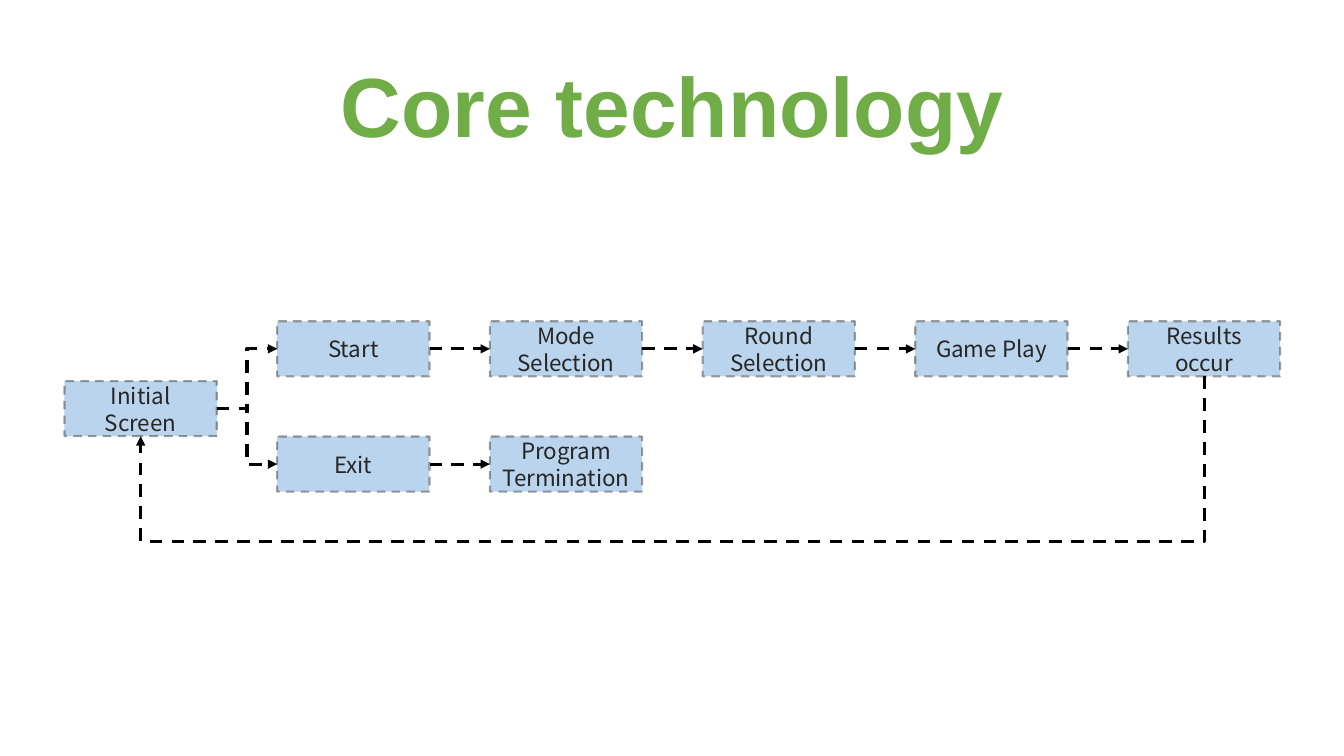
import pptx
import pptx.util
import pptx.dml.color
import pptx.enum.dml
import pptx.enum.shapes
import pptx.enum.text
import pptx.oxml.ns
import lxml.etree

Pt = pptx.util.Pt
TOP, LEFT, BOTTOM, RIGHT = range(4)
COLORS = {
    "title": "70AD47",
    "box": "9CC2E5",
    "border": "3F3F3F",
    "label": "262626",
    "arrow": "000000",
}
FIRST_LEFT, PITCH = 46.1, 151.92
BOX_WIDTH, BOX_HEIGHT = 108.8, 39.4
ROWS = {"start": 229.5, "initial": 272.2, "exit": 311.8}
RETURN_LEVEL = 386.8
STEPS = [
    ("Initial Screen", 0, "initial"),
    ("Start", 1, "start"),
    ("Exit", 1, "exit"),
    ("Program Termination", 2, "exit"),
    ("Mode Selection", 2, "start"),
    ("Round Selection", 3, "start"),
    ("Game Play", 4, "start"),
    ("Results occur", 5, "start"),
]
FLOWS = [
    ("Exit", "Program Termination"),
    ("Start", "Mode Selection"),
    ("Mode Selection", "Round Selection"),
    ("Round Selection", "Game Play"),
    ("Game Play", "Results occur"),
]


def apply(target, values):
    for name, value in values.items():
        setattr(target, name, value)


def add_child(parent, tag, **attributes):
    return lxml.etree.SubElement(parent, pptx.oxml.ns.qn(tag), attributes)


class FlowSlide:
    title_font = {"name": "Arial", "size": Pt(60), "bold": True}
    label_font = {"name": "Noto Sans CJK KR", "size": Pt(16)}
    dash = pptx.enum.dml.MSO_LINE.DASH
    center = pptx.enum.text.PP_ALIGN.CENTER
    middle = pptx.enum.text.MSO_ANCHOR.MIDDLE

    def __init__(self, slide):
        self.slide = slide

    def paint(self, color_format, key, opacity=None):
        color_format.rgb = pptx.dml.color.RGBColor.from_string(COLORS[key])
        if opacity:
            color = color_format._xFill.find(pptx.oxml.ns.qn("a:srgbClr"))
            add_child(color, "a:alpha", val=str(opacity * 1000))

    def set_wording(self, frame, wording, font, color):
        frame.text = wording
        paragraph = frame.paragraphs[0]
        paragraph.alignment = self.center
        apply(paragraph.runs[0].font, font)
        self.paint(paragraph.runs[0].font.color, color)
        return paragraph

    def heading(self, wording, left, top, width, height):
        heading = self.slide.shapes.title
        apply(heading, {"left": Pt(left), "top": Pt(top),
                        "width": Pt(width), "height": Pt(height)})
        apply(heading.text_frame, {"word_wrap": False,
                                   "vertical_anchor": self.middle})
        self.set_wording(heading.text_frame, wording, self.title_font, "title")

    def step(self, wording, left, top):
        step = self.slide.shapes.add_shape(
            pptx.enum.shapes.MSO_SHAPE.RECTANGLE,
            Pt(left), Pt(top), Pt(BOX_WIDTH), Pt(BOX_HEIGHT))
        step.shadow.inherit = False
        step.fill.solid()
        self.paint(step.fill.fore_color, "box", 70)
        step.line.fill.solid()
        self.paint(step.line.color, "border", 50)
        apply(step.line, {"width": Pt(1.5), "dash_style": self.dash})
        apply(step.text_frame, {"word_wrap": True,
                                "vertical_anchor": self.middle})
        label = self.set_wording(step.text_frame, wording, self.label_font, "label")
        label.line_spacing = Pt(19.3)
        return step

    def arrow(self, source, target, kind="STRAIGHT", sides=(RIGHT, LEFT)):
        arrow = self.slide.shapes.add_connector(
            pptx.enum.shapes.MSO_CONNECTOR[kind], 0, 0, 0, 0)
        arrow.begin_connect(source, sides[0])
        arrow.end_connect(target, sides[1])
        arrow.line.fill.solid()
        self.paint(arrow.line.color, "arrow")
        apply(arrow.line, {"width": Pt(2.25), "dash_style": self.dash})
        add_child(arrow.line._get_or_add_ln(), "a:tailEnd", type="triangle")
        add_child(arrow._element.spPr, "a:effectLst")
        return arrow

    def return_arrow(self, source, target, level):
        arrow = self.arrow(source, target, "ELBOW", (BOTTOM, BOTTOM))
        drop, span = arrow.height, arrow.width
        bend = (Pt(level) - arrow.begin_y) / drop
        apply(arrow, {"left": arrow.left + (span - drop) // 2,
                      "top": arrow.top + (drop - span) // 2,
                      "width": drop, "height": span})
        properties = arrow._element.spPr
        for name, value in {"rot": "5400000", "flipH": "0", "flipV": "0"}.items():
            properties.find(pptx.oxml.ns.qn("a:xfrm")).set(name, value)
        geometry = properties.find(pptx.oxml.ns.qn("a:prstGeom"))
        adjustments = geometry.find(pptx.oxml.ns.qn("a:avLst"))
        if adjustments is None:
            adjustments = add_child(geometry, "a:avLst")
        add_child(adjustments, "a:gd", name="adj1", fmla=f"val {round(bend * 100000)}")


def main():
    deck = pptx.Presentation()
    apply(deck, {"slide_width": Pt(960), "slide_height": Pt(540)})
    flow = FlowSlide(deck.slides.add_slide(deck.slide_layouts[5]))
    flow.heading("Core technology", 234, 34.6, 492.5, 79.9)
    steps = {
        wording: flow.step(wording, FIRST_LEFT + column * PITCH, ROWS[row])
        for wording, column, row in STEPS
    }
    for choice in ("Start", "Exit"):
        flow.arrow(steps["Initial Screen"], steps[choice], "ELBOW")
    for source, target in FLOWS:
        flow.arrow(steps[source], steps[target])
    flow.return_arrow(steps["Results occur"], steps["Initial Screen"], RETURN_LEVEL)
    deck.save("out.pptx")


if __name__ == "__main__":
    main()
